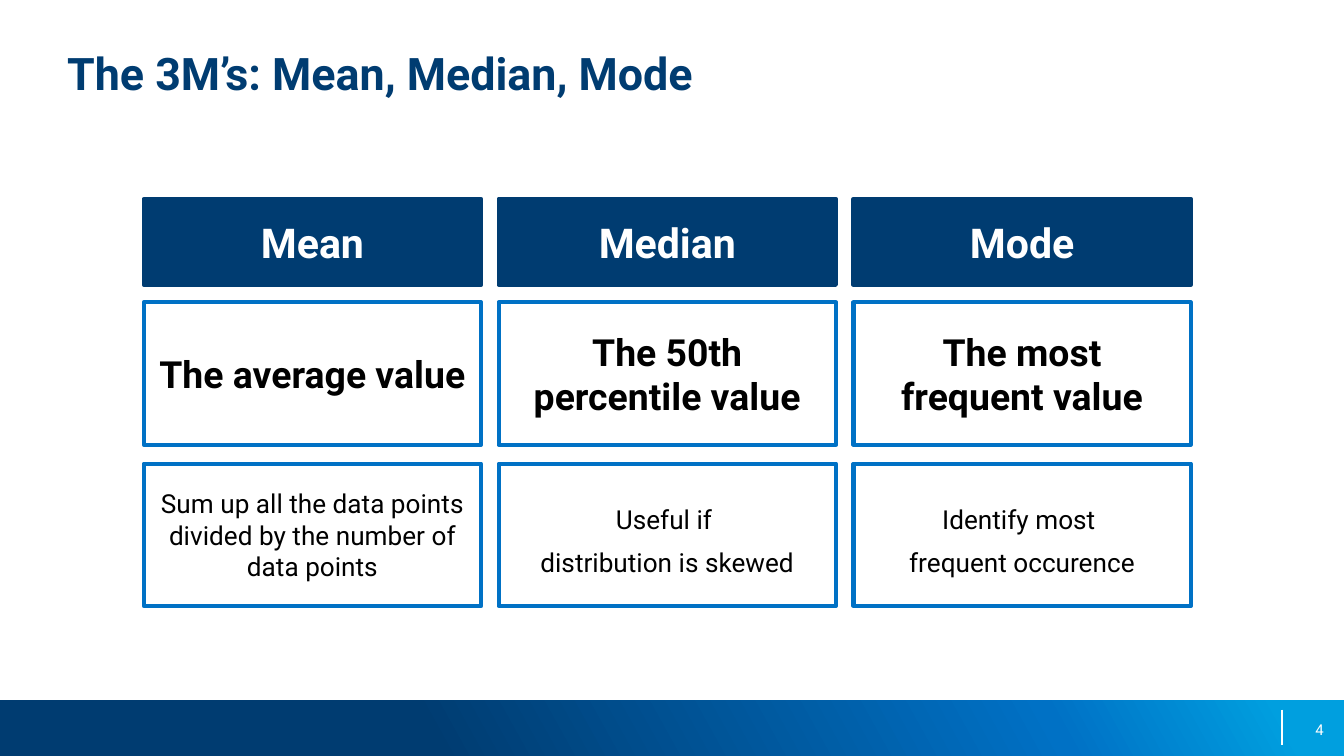
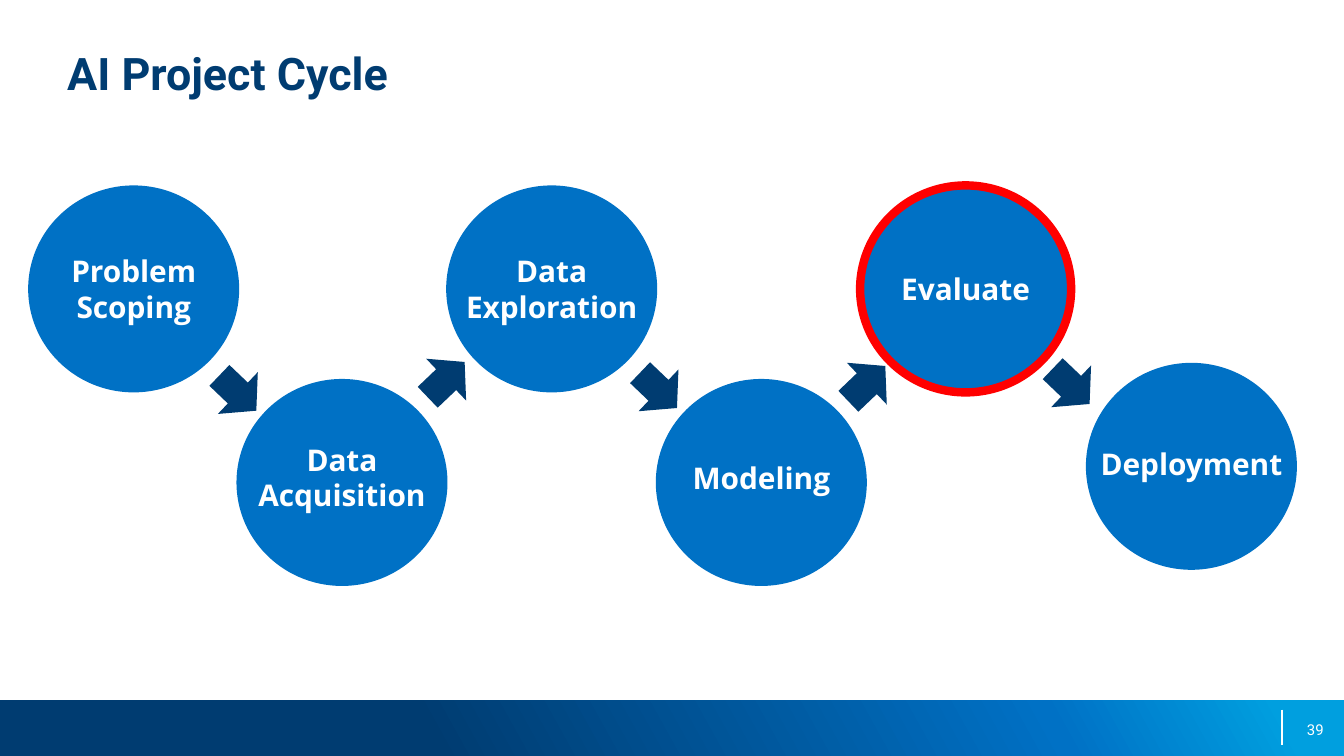
"""Build two training slides: averages and the project cycle."""
from collections import namedtuple
from copy import deepcopy

from lxml.etree import SubElement
from pptx import Presentation
from pptx.dml.color import RGBColor
from pptx.enum.shapes import MSO_CONNECTOR as Connector, MSO_SHAPE as Shape
from pptx.enum.text import MSO_ANCHOR as Anchor, PP_ALIGN as Align
from pptx.oxml.ns import qn
from pptx.util import Inches, Pt

Box = namedtuple("Box", "left top width height")
Stage = namedtuple("Stage", "name left top label_top label_width")

COLORS = {
    "navy": "003C71",
    "blue": "0071C5",
    "sky": "009FDF",
    "red": "FF0000",
    "white": "FFFFFF",
    "black": "000000",
}
BODY_FONT, LABEL_FONT = "Roboto", "Open Sans"
PAGE = Box(0, 0, 10, 10 * 9 / 16)
TITLE = Box(0.5, 0.34, 9, 0.95)
FOOTER = Box(0, 5.21, 10, 0.42)
BAND_STOPS = [(0.32, "navy"), (0.78, "blue"), (0.95, "sky")]

GRID = Box(1.07, 1.48, 7.79, 3.03)
COLUMN_GAP = 0.13
HEADINGS = ["Mean", "Median", "Mode"]
MEANINGS = ["The average value", "The 50th percentile value", "The most frequent value"]
DETAILS = [
    ["Sum up all the data points divided by the number of data points"],
    ["Useful if ", "distribution is skewed"],
    ["Identify most ", "frequent occurence"],
]

CYCLE = Box(0.21, 1.38, 9.44, 2.98)
CIRCLE_WIDTH, CIRCLE_HEIGHT = 1.57, 1.54
STAGES = [
    Stage("Problem Scoping", 0, 0, 0.48, 1.21),
    Stage("Data Acquisition", 1.55, 1.44, 0.44, 1.56),
    Stage("Data Exploration", 3.11, 0, 0.48, 1.56),
    Stage("Modeling", 4.67, 1.44, 0.44, 1.38),
    Stage("Evaluate", 6.19, 0, 0.48, 1.38),
    Stage("Deployment", 7.87, 1.32, 0.46, 1.79),
]
CURRENT_STAGE = "Evaluate"
ARROWS = [(1.37, 1.33), (2.92, 1.23), (4.5, 1.31), (6.05, 1.26), (7.57, 1.28)]
ARROW_TILT = 43.7


def color(name):
    """Return the palette colour with this name."""
    return RGBColor.from_string(COLORS[name])


def lengths(box):
    """Return the sides of a box as slide lengths."""
    return [Inches(side) for side in box]


def write(shape, *lines, size, font=BODY_FONT, ink="white", bold=False,
          align=Align.CENTER, anchor=Anchor.MIDDLE, inset=0.1, spacing=None):
    """Write one paragraph per line into a shape."""
    frame = shape.text_frame
    frame.word_wrap = True
    frame.vertical_anchor = anchor
    frame.margin_left = frame.margin_right = Inches(inset)
    frame.margin_top = frame.margin_bottom = Inches(inset)
    for index, line in enumerate(lines):
        para = frame.add_paragraph() if index else frame.paragraphs[0]
        para.alignment = align
        if spacing:
            para.line_spacing = spacing
        span = para.add_run()
        span.text = line
        span.font.name = font
        span.font.size = Pt(size)
        span.font.bold = bold
        span.font.color.rgb = color(ink)


def add_text(page, box, *lines, **style):
    """Add a text box holding the given lines."""
    write(page.shapes.add_textbox(*lengths(box)), *lines, **style)


def add_figure(page, kind, box, fill, line=None, weight=2.25):
    """Add a flat preset shape with an optional outline."""
    figure = page.shapes.add_shape(kind, *lengths(box))
    figure.shadow.inherit = False
    figure.fill.solid()
    figure.fill.fore_color.rgb = color(fill)
    if line:
        figure.line.color.rgb = color(line)
        figure.line.width = Pt(weight)
        SubElement(figure.line._get_or_add_ln(), qn("a:round"))
    else:
        figure.line.fill.background()
    return figure


def add_footer(page, box, number):
    """Draw the gradient band, its divider and the page number."""
    band = add_figure(page, Shape.RECTANGLE, box, "navy")
    band.fill.gradient()
    band.fill.gradient_angle = 29
    stop_list = band._element.spPr.find(".//" + qn("a:gsLst"))
    stop_list.append(deepcopy(stop_list[0]))
    for stop, (position, name) in zip(band.fill.gradient_stops, BAND_STOPS):
        stop.position = position
        stop.color.rgb = color(name)
    divider_left = Inches(box.left + 9.54)
    divider = page.shapes.add_connector(
        Connector.STRAIGHT,
        divider_left, Inches(box.top + 0.07),
        divider_left, Inches(box.top + 0.33))
    divider.line.color.rgb = color("white")
    divider.line.width = Pt(0.75)
    SubElement(divider._element.spPr, qn("a:effectLst"))
    add_text(page, Box(box.left + 7.52, box.top + 0.07, 2.33, 0.3), str(number),
             size=8, align=Align.RIGHT, inset=0)


def add_page(deck, title, number):
    """Add a blank slide with the shared footer and title."""
    page = deck.slides.add_slide(deck.slide_layouts[6])
    add_footer(page, FOOTER, number)
    add_text(page, TITLE, title, size=24, ink="navy", bold=True,
             align=Align.LEFT, anchor=Anchor.TOP, inset=0)
    return page


def add_averages(page, box):
    """Draw a column of heading, meaning and detail for each average."""
    count = len(HEADINGS)
    width = (box.width - COLUMN_GAP * (count - 1)) / count
    for index, (heading, meaning, detail) in enumerate(zip(HEADINGS, MEANINGS, DETAILS)):
        left = box.left + index * (width + COLUMN_GAP)
        head = add_figure(page, Shape.RECTANGLE, Box(left, box.top, width, 0.64),
                          "navy", "navy")
        write(head, heading, size=22, bold=True)
        middle = add_figure(page, Shape.RECTANGLE, Box(left, box.top + 0.77, width, 1.06),
                            "white", "blue")
        write(middle, meaning, size=20, ink="black", bold=True)
        bottom = add_figure(page, Shape.RECTANGLE, Box(left, box.top + 1.97, width, 1.06),
                            "white", "blue")
        write(bottom, *detail, size=14, ink="black",
              spacing=1.38 if len(detail) > 1 else None)


def add_cycle(page, box):
    """Draw the zigzag of stages and the arrows between them."""
    for stage in STAGES:
        left, top = box.left + stage.left, box.top + stage.top
        outline = "red" if stage.name == CURRENT_STAGE else None
        add_figure(page, Shape.OVAL, Box(left, top, CIRCLE_WIDTH, CIRCLE_HEIGHT),
                   "blue", outline, 4.5)
        label_left = left + (CIRCLE_WIDTH - stage.label_width) / 2
        add_text(page, Box(label_left, top + stage.label_top, stage.label_width, 0.58),
                 stage.name, size=16, font=LABEL_FONT, bold=True)
    for index, (left, top) in enumerate(ARROWS):
        arrow = add_figure(page, Shape.RIGHT_ARROW,
                           Box(box.left + left, box.top + top, 0.38, 0.43), "navy")
        arrow.rotation = -ARROW_TILT if index % 2 else ARROW_TILT


def main():
    """Build and save the deck."""
    deck = Presentation()
    deck.slide_width, deck.slide_height = Inches(PAGE.width), Inches(PAGE.height)
    add_averages(add_page(deck, "The 3M’s: Mean, Median, Mode", 4), GRID)
    add_cycle(add_page(deck, "AI Project Cycle", 39), CYCLE)
    deck.save("out.pptx")


if __name__ == "__main__":
    main()
